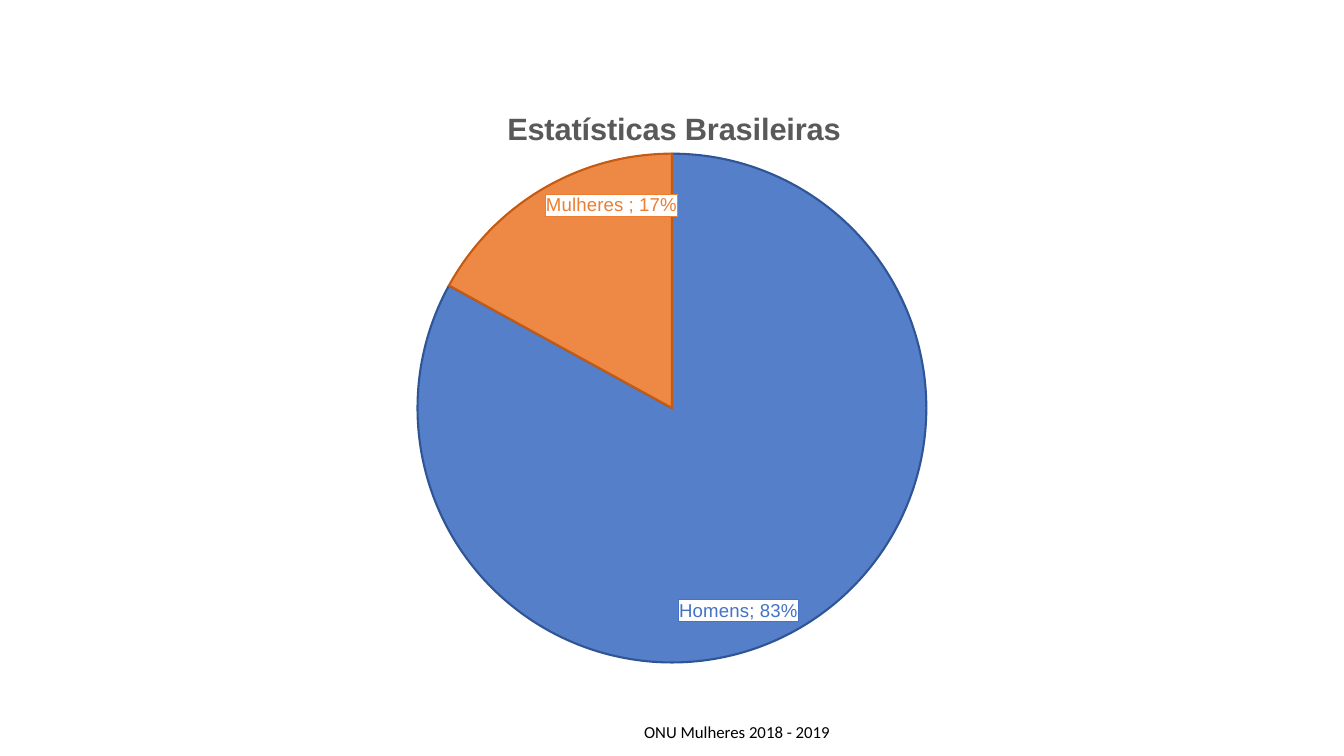
from lxml import etree
from pptx import Presentation
from pptx.chart.data import CategoryChartData
from pptx.dml.color import RGBColor as Rgb
from pptx.enum.chart import XL_CHART_TYPE as ChartType, XL_LABEL_POSITION as LabelPos
from pptx.oxml import parse_xml
from pptx.oxml.ns import nsdecls, qn
from pptx.util import Pt

HEADING = "Estatísticas Brasileiras"
SOURCE = "ONU Mulheres 2018 - 2019"
SHARES = [("Homens", 0.83), ("Mulheres ", 0.17)]

THEME = {
    "fills": ["4472C4", "ED7D31"],
    "edges": ["2F5597", "C55A11"],
    "heading": "595959",
    "ink": "000000",
    "paper": "FFFFFF",
    "chart_font": "Arial",
    "source_font": "Calibri",
    "heading_size": 22,
    "label_size": 13.3,
    "source_size": 12,
    "opacity": 90000,
}
PERCENT = "0%"
SLIDE_W, SLIDE_H = 960, 540
CHART_W, CHART_H, CHART_TOP = 640, 427, 56.9
PIE_SIZE, PIE_TOP = 363.5, 109.8
HEADING_X, HEADING_Y = 0.31, 0.04


def style_font(font, face, size, color, bold=False):
    font.name = face
    font.size = Pt(size)
    font.bold = bold
    font.color.rgb = Rgb.from_string(color)


def manual_layout(**values):
    layout = parse_xml(f'<c:layout {nsdecls("c")}><c:manualLayout/></c:layout>')
    for tag, value in values.items():
        etree.SubElement(layout[0], qn(f"c:{tag}")).set("val", str(value))
    return layout


def style_slice(point, fill, edge):
    point.format.fill.solid()
    point.format.fill.fore_color.rgb = Rgb.from_string(fill)
    point.format.line.color.rgb = Rgb.from_string(edge)
    point.format.line.width = Pt(1.5)
    style_font(point.data_label.font, THEME["chart_font"], THEME["label_size"], fill)
    point.data_label.position = LabelPos.INSIDE_END


def label_box(color):
    return parse_xml(
        f'<c:spPr {nsdecls("c", "a")}>'
        f'<a:solidFill><a:srgbClr val="{THEME["paper"]}"/></a:solidFill>'
        f'<a:ln w="9525"><a:solidFill><a:srgbClr val="{color}"/></a:solidFill></a:ln></c:spPr>'
    )


def add_pie(slide):
    shares = CategoryChartData(number_format=PERCENT)
    shares.categories = [name for name, _ in SHARES]
    shares.add_series("Series 1", [value for _, value in SHARES])
    chart = slide.shapes.add_chart(
        ChartType.PIE, Pt((SLIDE_W - CHART_W) / 2), Pt(CHART_TOP), Pt(CHART_W), Pt(CHART_H), shares
    ).chart
    style_font(chart.font, THEME["chart_font"], 10, THEME["ink"])
    chart.has_legend = False
    chart.has_title = True
    heading = chart.chart_title.text_frame
    heading.text = HEADING
    style_font(heading.paragraphs[0].runs[0].font, THEME["chart_font"],
               THEME["heading_size"], THEME["heading"], True)

    series = chart.plots[0].series[0]
    for index, (fill, edge) in enumerate(zip(THEME["fills"], THEME["edges"])):
        style_slice(series.points[index], fill, edge)

    pie = series._element
    for color in pie.xpath("c:dPt/c:spPr/a:solidFill/a:srgbClr"):
        etree.SubElement(color, qn("a:alpha")).set("val", str(THEME["opacity"]))
    for label, color in zip(pie.xpath("c:dLbls/c:dLbl"), THEME["fills"]):
        for old_box in label.findall(qn("c:spPr")):
            label.remove(old_box)
        text_style = label.find(qn("c:txPr"))
        text_style.addprevious(parse_xml(
            f'<c:numFmt {nsdecls("c")} formatCode="{PERCENT}" sourceLinked="0"/>'))
        text_style.addprevious(label_box(color))
        label.find(qn("c:showCatName")).set("val", "1")
        label.find(qn("c:showVal")).set("val", "1")
        label.find(qn("c:showPercent")).set("val", "0")
        etree.SubElement(label, qn("c:separator")).text = "; "

    plot_area = pie.getparent().getparent()
    for old_layout in plot_area.findall(qn("c:layout")):
        plot_area.remove(old_layout)
    plot_area.insert(0, manual_layout(
        layoutTarget="inner", xMode="edge", yMode="edge",
        x=(CHART_W - PIE_SIZE) / 2 / CHART_W, y=(PIE_TOP - CHART_TOP) / CHART_H,
        w=PIE_SIZE / CHART_W, h=PIE_SIZE / CHART_H))
    title = plot_area.getparent().find(qn("c:title"))
    for old_layout in title.findall(qn("c:layout")):
        title.remove(old_layout)
    title.find(qn("c:tx")).addnext(manual_layout(
        xMode="edge", yMode="edge", x=HEADING_X, y=HEADING_Y))


def add_source(slide):
    frame = slide.shapes.add_textbox(Pt(453), Pt(512), Pt(149), Pt(21.8)).text_frame
    frame.word_wrap = False
    frame.text = SOURCE
    style_font(frame.paragraphs[0].runs[0].font, THEME["source_font"],
               THEME["source_size"], THEME["ink"])


def main():
    deck = Presentation()
    deck.slide_width, deck.slide_height = Pt(SLIDE_W), Pt(SLIDE_H)
    slide = deck.slides.add_slide(deck.slide_layouts[6])
    add_pie(slide)
    add_source(slide)
    deck.save("out.pptx")


if __name__ == "__main__":
    main()
